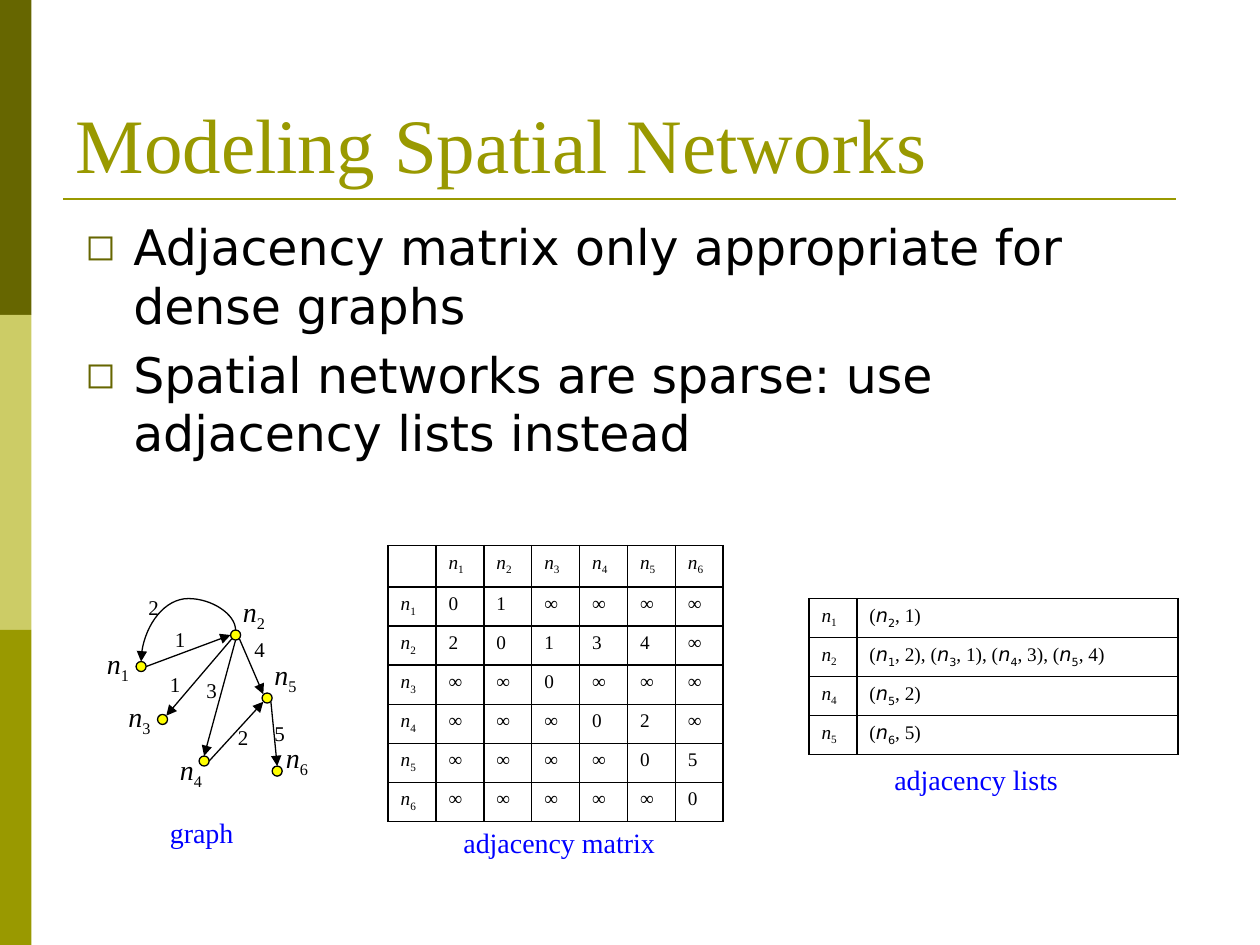
import pptx
import pptx.util
import pptx.dml.color
import pptx.enum.shapes
import pptx.enum.text
import pptx.oxml
import pptx.oxml.ns

Inches, Pt = pptx.util.Inches, pptx.util.Pt
RGB = pptx.dml.color.RGBColor
Shape = pptx.enum.shapes.MSO_SHAPE
Link = pptx.enum.shapes.MSO_CONNECTOR
qn = pptx.oxml.ns.qn

BLACK = RGB(0x00, 0x00, 0x00)
BLUE = RGB(0x00, 0x00, 0xFF)
YELLOW = RGB(0xFF, 0xFF, 0x00)
DARK = RGB(0x66, 0x66, 0x00)
LIGHT = RGB(0xCC, 0xCC, 0x66)
OLIVE = RGB(0x99, 0x99, 0x00)
SERIF, SANS = "Times New Roman", "DejaVu Sans"


def add_xml(parent, body):
    tag, rest = body.split(" ", 1)
    node = pptx.oxml.parse_xml(f'<a:{tag} {pptx.oxml.ns.nsdecls("a")} {rest}')
    parent.append(node)


class Deck:
    def __init__(self):
        self.prs = pptx.Presentation()
        self.prs.slide_width, self.prs.slide_height = Inches(10), Inches(7.5)
        self.slide = self.prs.slides.add_slide(self.prs.slide_layouts[5])
        self.shapes = self.slide.shapes

    def style(self, font, size, color=BLACK, face=SERIF):
        font.size, font.name = Pt(size), face
        font.color.rgb = color

    def title(self, text, x, y, w, h):
        box = self.shapes.title
        box.left, box.top, box.width, box.height = map(Inches, (x, y, w, h))
        frame = box.text_frame
        frame.text = text
        frame.vertical_anchor = pptx.enum.text.MSO_ANCHOR.BOTTOM
        frame.paragraphs[0].alignment = pptx.enum.text.PP_ALIGN.LEFT
        self.style(frame.paragraphs[0].runs[0].font, 44, OLIVE)

    def fill_text(self, para, text, size, color=BLACK, face=SERIF):
        """Set text in which n_1 stands for an italic n with a subscript."""
        def run(part, face=face):
            if part:
                piece = para.add_run()
                piece.text = part
                self.style(piece.font, size, color, face)
                return piece.font

        head, *rest = text.split("n_")
        run(head)
        inner = SANS if head else face
        for part in rest:
            run("n", inner).italic = True
            run(part[0], inner)._element.set("baseline", "-25000")
            run(part[1:])

    def label(self, text, x, y, w, h, size, color=BLACK):
        box = self.shapes.add_textbox(*map(Inches, (x, y, w, h)))
        frame = box.text_frame
        frame.word_wrap = False
        frame.auto_size = pptx.enum.text.MSO_AUTO_SIZE.SHAPE_TO_FIT_TEXT
        self.fill_text(frame.paragraphs[0], text, size, color)

    def bullets(self, items, x, y, w, h):
        frame = self.shapes.add_textbox(*map(Inches, (x, y, w, h))).text_frame
        frame.word_wrap = True
        frame.text = "\n".join(items)
        for i, para in enumerate(frame.paragraphs):
            props = para._p.get_or_add_pPr()
            props.set("marL", str(Inches(0.38)))
            props.set("indent", str(-Inches(0.38)))
            add_xml(props, f'buClr ><a:srgbClr val="{DARK}"/></a:buClr>')
            add_xml(props, 'buSzPct val="75000"/>')
            add_xml(props, f'buFont typeface="{SANS}"/>')
            add_xml(props, 'buChar char="◻"/>')
            if i:
                para.space_before = Pt(5.6)
            self.style(para.runs[0].font, 28, face=SANS)

    def shape(self, kind, x, y, w, h, fill, edge=None):
        item = self.shapes.add_shape(kind, *map(Inches, (x, y, w, h)))
        item.shadow.inherit = False
        item.fill.solid()
        item.fill.fore_color.rgb = fill
        if edge is None:
            item.line.fill.background()
        else:
            item.line.color.rgb, item.line.width = edge, Pt(0.75)

    def line(self, x1, y1, x2, y2, color=BLACK, width=0.75, arrow=True,
             kind=Link.STRAIGHT):
        item = self.shapes.add_connector(kind, *map(Inches, (x1, y1, x2, y2)))
        item.line.color.rgb, item.line.width = color, Pt(width)
        if arrow:
            add_xml(item.line._get_or_add_ln(), 'tailEnd type="triangle"/>')
        add_xml(item._element.spPr, "effectLst />")
        return item

    def arc(self, *ends):
        """Draw a curved arrow that leaves and arrives from above."""
        props = self.line(*ends, kind=Link.CURVE)._element.spPr
        props.find(qn("a:xfrm")).set("rot", str(270 * 60000))
        guides = props.find(qn("a:prstGeom")).find(qn("a:avLst"))
        add_xml(guides, 'gd name="adj1" fmla="val -100000"/>')

    def table(self, rows, x, y, cols, highs):
        frame = self.shapes.add_table(
            len(rows), len(cols), *map(Inches, (x, y, sum(cols), sum(highs))))
        grid = frame.table
        grid.first_row = grid.horz_banding = False
        for col, wide in zip(grid.columns, cols):
            col.width = Inches(wide)
        for row, high, texts in zip(grid.rows, highs, rows):
            row.height = Inches(high)
            for cell, text in zip(row.cells, texts):
                para = cell.text_frame.paragraphs[0]
                self.fill_text(para, text, 11)
                if not text:
                    add_xml(para._p, 'endParaRPr sz="1100"/>')
                props = cell._tc.get_or_add_tcPr()
                for side in "LRTB":
                    add_xml(props, f'ln{side} w="{Pt(1)}"><a:solidFill><a:srgbClr '
                                   f'val="{BLACK}"/></a:solidFill></a:ln{side}>')
                cell.fill.background()


def main():
    deck = Deck()

    # Side bars, title and rule
    for i, color in enumerate((DARK, LIGHT, OLIVE)):
        deck.shape(Shape.RECTANGLE, 0, 2.5 * i, 0.25, 2.5, color)
    deck.title("Modeling Spatial Networks", 0.5, 0.3, 9, 1.25)
    deck.line(0.5, 1.58, 9.33, 1.58, OLIVE, 1.5, arrow=False)

    # Main points
    deck.bullets(["Adjacency matrix only appropriate for dense graphs",
                  "Spatial networks are sparse: use adjacency lists instead"],
                 0.58, 1.67, 8.83, 5.25)

    # Graph nodes: dot place, then name place
    nodes = [(1.08, 5.25, 0.75, 5.08), (1.83, 5, 1.83, 4.67),
             (1.25, 5.67, 0.92, 5.5), (1.58, 6, 1.33, 5.92),
             (2.08, 5.5, 2.08, 5.17), (2.16, 6.08, 2.17, 5.83)]
    for i, (x, y, left, top) in enumerate(nodes, 1):
        deck.label(f"n_{i}", left, top, 0.41, 0.37, 16)
        deck.shape(Shape.OVAL, x, y, 0.08, 0.08, YELLOW, BLACK)

    # Graph edges: ends, then weight and its place
    edges = [((1.16, 5.29, 1.83, 5.04), "1", 1.29, 4.92),
             ((1.9, 5.07, 2.09, 5.51), "4", 1.92, 5),
             ((2.15, 5.57, 2.2, 6.08), "5", 2.08, 5.67),
             ((1.87, 5.08, 1.62, 6), "3", 1.54, 5.33),
             ((1.84, 5.07, 1.32, 5.68), "1", 1.25, 5.28),
             ((1.66, 6.04, 2.09, 5.57), "2", 1.79, 5.7)]
    for ends, cost, x, y in edges:
        deck.line(*ends)
        deck.label(cost, x, y, 0.3, 0.3, 12)
    deck.arc(1.62, 5.5, 1.37, 4.75)
    deck.label("2", 1.08, 4.67, 0.3, 0.3, 12)

    # Adjacency matrix
    names = [f"n_{i}" for i in range(1, 7)]
    costs = ["01∞∞∞∞", "20134∞", "∞∞0∞∞∞", "∞∞∞02∞", "∞∞∞∞05", "∞∞∞∞∞0"]
    rows = [["", *names]] + [[name, *row] for name, row in zip(names, costs)]
    deck.table(rows, 3.08, 4.33, [0.38] * 7, [0.33] + [0.31] * 6)

    # Adjacency lists
    lists = [("n_1", "(n_2, 1)"),
             ("n_2", "(n_1, 2), (n_3, 1), (n_4, 3), (n_5, 4)"),
             ("n_4", "(n_5, 2)"),
             ("n_5", "(n_6, 5)")]
    deck.table(lists, 6.42, 4.75, [0.38, 2.55], [0.31] * 4)

    # Captions
    for text, x, y, w in (("graph", 1.25, 6.42, 0.71),
                          ("adjacency matrix", 3.58, 6.5, 1.8),
                          ("adjacency lists", 7, 6, 1.52)):
        deck.label(text, x, y, w, 0.37, 16, BLUE)

    deck.prs.save("out.pptx")


if __name__ == "__main__":
    main()
